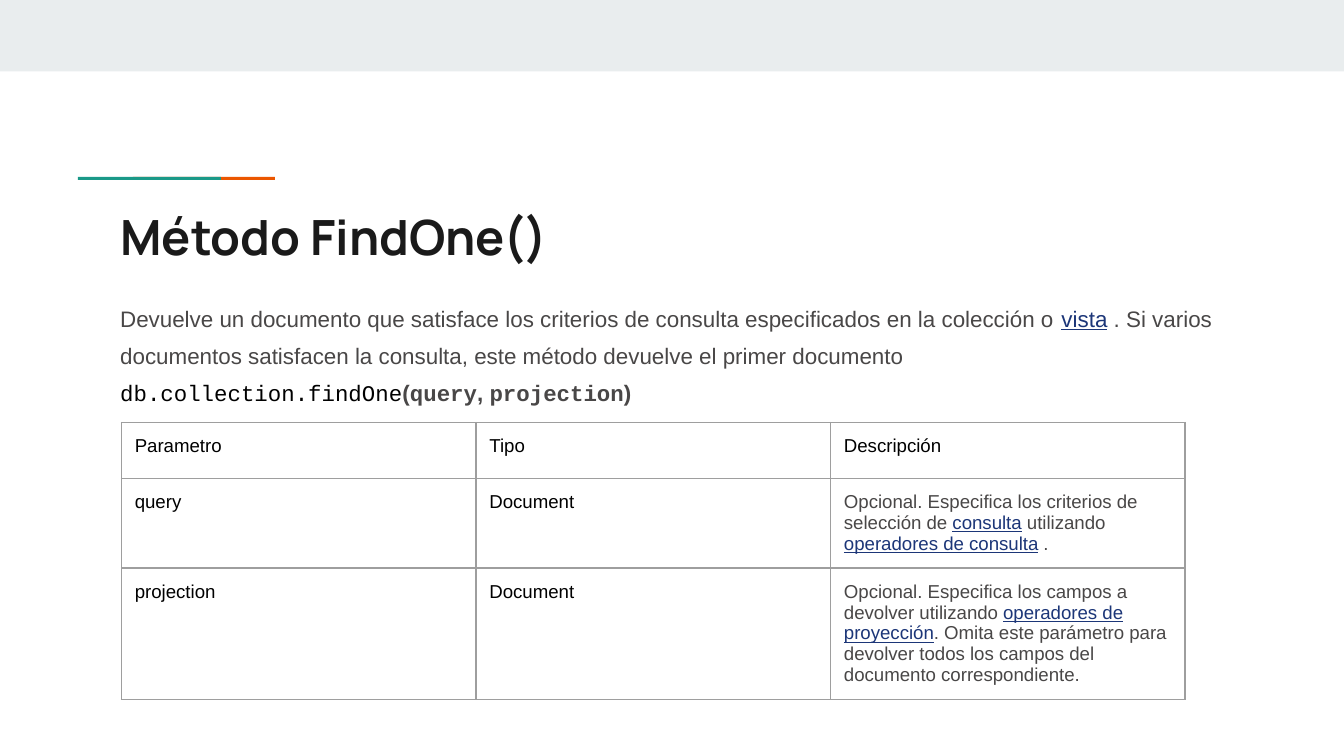
"""Build the slide that explains the findOne() method."""
from lxml import etree
from pptx import Presentation, util as u
from pptx.dml.color import RGBColor
from pptx.enum import shapes, text
from pptx.oxml.ns import qn

PX = 914400 / 134.4
INSET = 13.44

PLAIN = {"name": "Arial", "color": "494747"}
LABEL = {"name": "Arial", "color": "000000"}
LINK = {"name": "Arial", "color": "1C3678", "underline": True}
CODE = {"name": "Courier New", "color": "000000"}
STRONG = {**PLAIN, "bold": True}
ARGUMENT = {**STRONG, "name": "Courier New"}
HEADING = {"name": "Manrope", "color": "1A1A1A", "bold": True}

TITLE = [[("Método FindOne()", HEADING)]]
DESCRIPTION = [
    [("Devuelve un documento que satisface los criterios de consulta especificados en la colección o ", PLAIN),
     ("vista", LINK),
     (" . Si varios documentos satisfacen la consulta, este método devuelve el primer documento", PLAIN)],
    [("db.collection.findOne", CODE), ("(", STRONG), ("query", ARGUMENT), (", ", STRONG),
     ("projection", ARGUMENT), (")", STRONG)],
]
PARAMETERS = [
    [[("Parametro", LABEL)], [("Tipo", LABEL)], [("Descripción", LABEL)]],
    [[("query", LABEL)], [("Document", LABEL)],
     [("Opcional. Especifica los criterios de selección de ", PLAIN), ("consulta", LINK),
      (" utilizando ", PLAIN), ("operadores de consulta", LINK), (" .", PLAIN)]],
    [[("projection", LABEL)], [("Document", LABEL)],
     [("Opcional. Especifica los campos a devolver utilizando ", PLAIN),
      ("operadores de proyección", LINK),
      (". Omita este parámetro para devolver todos los campos del documento correspondiente.", PLAIN)]],
]
ROW_HEIGHTS = [56, 89.5, 130.5]
COLUMN_WIDTH = 354.6
BANDS = [
    ((0, 0, 1344, 71.5), "E9EDEE"),
    ((133, 177, 142, 3), "EB5600"),
    ((78, 177, 143, 3), "1A9988"),
]


def px(length):
    """Turn px into EMU."""
    return u.Emu(round(length * PX))


def color(value):
    """Turn a hex string into a colour."""
    return RGBColor.from_string(value)


def set_margins(holder):
    """Give a text frame or cell equal insets."""
    for side in ("left", "right", "top", "bottom"):
        setattr(holder, f"margin_{side}", px(INSET))


def write(paragraph, lines, size):
    """Write lines of formatted runs into one paragraph."""
    for index, line in enumerate(lines):
        if index:
            paragraph.add_line_break()
            etree.SubElement(paragraph._p[-1], qn("a:rPr"), sz=str(size * 100))
        for words, style in line:
            run = paragraph.add_run()
            run.text = words
            run.font.size = u.Pt(size)
            for key, value in style.items():
                if key == "color":
                    run.font.color.rgb = color(value)
                else:
                    setattr(run.font, key, value)


def fill_frame(frame, lines, size, spacing):
    """Format a text frame and write its paragraph."""
    set_margins(frame)
    frame.word_wrap = True
    frame.auto_size = text.MSO_AUTO_SIZE.NONE
    frame.vertical_anchor = text.MSO_ANCHOR.TOP
    paragraph = frame.paragraphs[0]
    paragraph.alignment = text.PP_ALIGN.LEFT
    paragraph.line_spacing = spacing
    paragraph.space_before = u.Pt(0)
    write(paragraph, lines, size)


def add_borders(cell):
    """Draw a thin grey line on each side of a cell."""
    properties = cell._tc.get_or_add_tcPr()
    for index, side in enumerate(("lnL", "lnR", "lnT", "lnB")):
        line = etree.Element(qn(f"a:{side}"), w=str(u.Pt(0.75)))
        fill = etree.SubElement(line, qn("a:solidFill"))
        etree.SubElement(fill, qn("a:srgbClr"), val="9E9E9E")
        properties.insert(index, line)


def main():
    """Build and save the slide."""
    deck = Presentation()
    deck.slide_width, deck.slide_height = px(1344), px(756)
    slide = deck.slides.add_slide(deck.slide_layouts[5])

    for box, tint in BANDS:
        band = slide.shapes.add_shape(shapes.MSO_SHAPE.RECTANGLE, *map(px, box))
        band.shadow.inherit = False
        band.fill.solid()
        band.fill.fore_color.rgb = color(tint)
        band.line.fill.background()

    title = slide.shapes.title
    title.left, title.top, title.width, title.height = map(px, (107, 194, 1130, 79))
    fill_frame(title.text_frame, TITLE, 26, 1.0)

    description = slide.shapes.add_textbox(*map(px, (107, 281, 1130, 402)))
    fill_frame(description.text_frame, DESCRIPTION, 12, 1.38)

    box = (121.4, 422.5, COLUMN_WIDTH * 3, sum(ROW_HEIGHTS))
    table = slide.shapes.add_table(3, 3, *map(px, box)).table
    table.first_row = table.horz_banding = False
    for column in table.columns:
        column.width = px(COLUMN_WIDTH)
    for row, height, contents in zip(table.rows, ROW_HEIGHTS, PARAMETERS):
        row.height = px(height)
        for cell, runs in zip(row.cells, contents):
            set_margins(cell)
            cell.fill.background()
            add_borders(cell)
            write(cell.text_frame.paragraphs[0], [runs], 10)

    deck.save("out.pptx")


if __name__ == "__main__":
    main()
